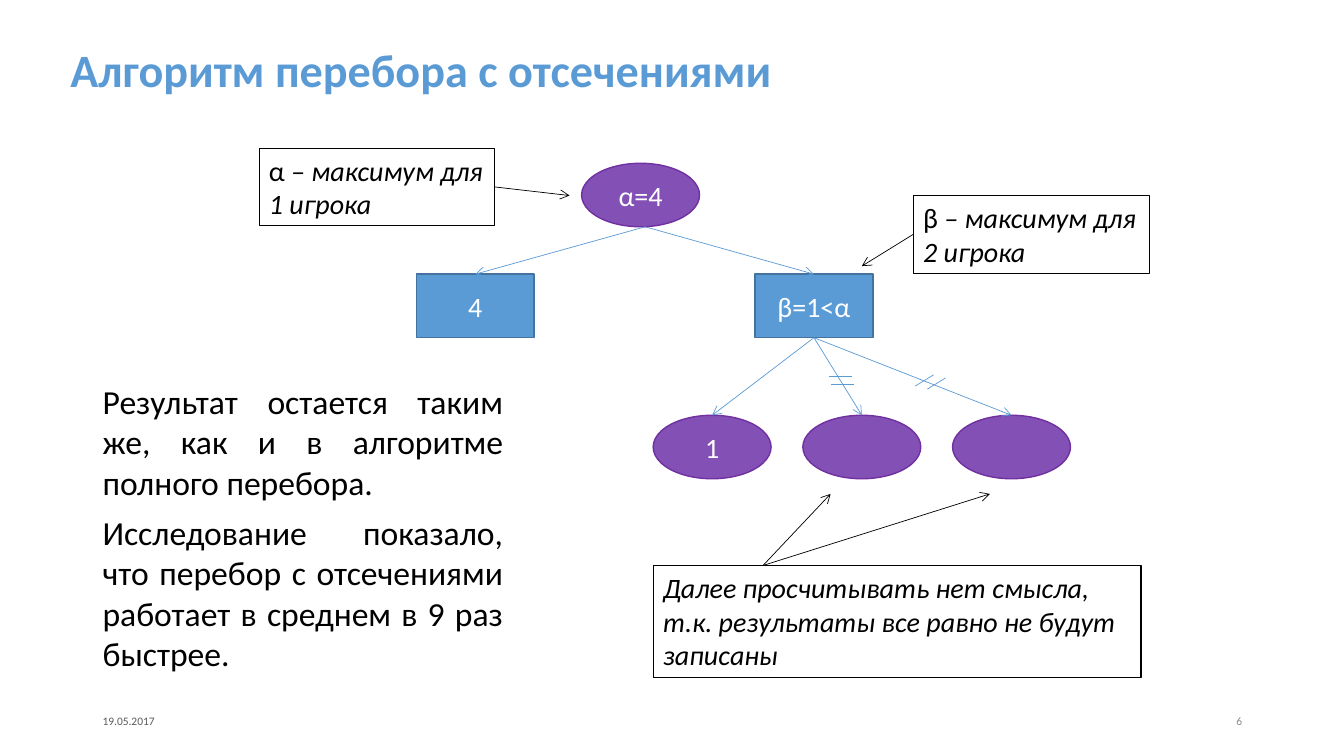
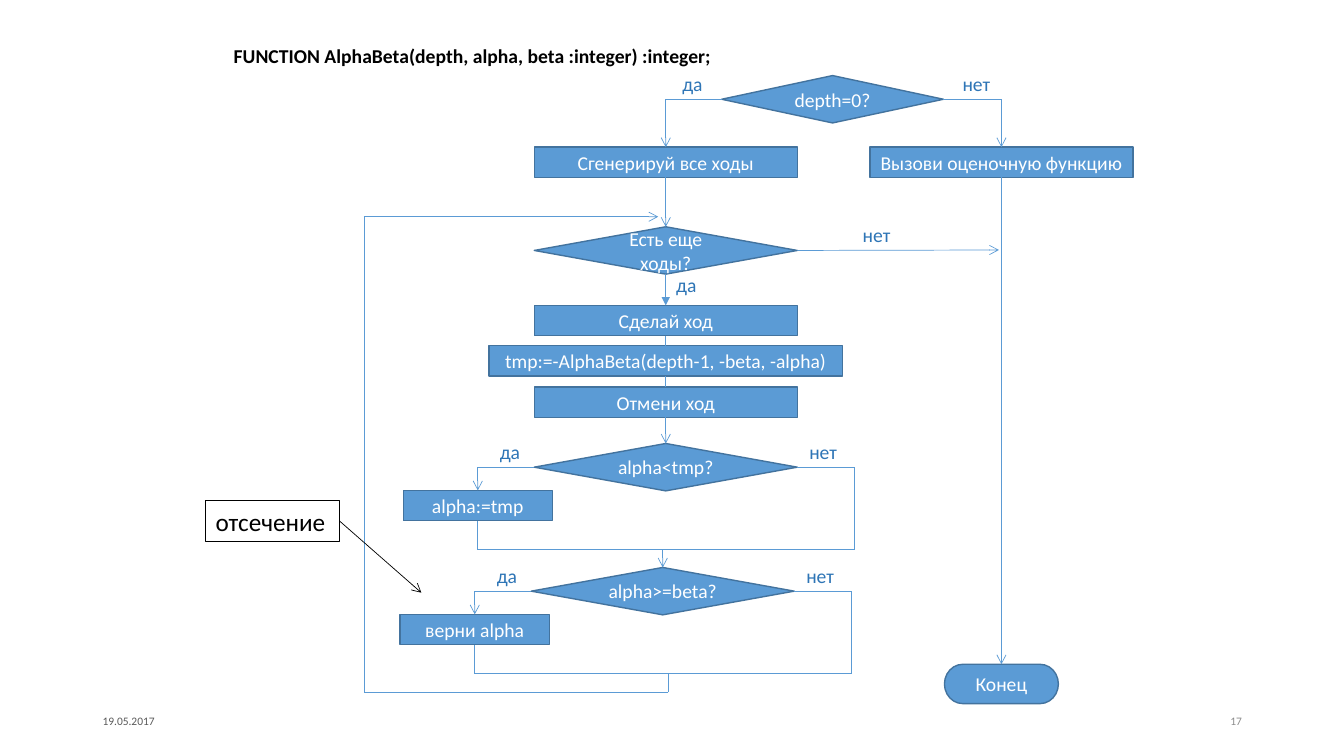
"""Build two slides on alpha-beta pruning: a game tree and a flow chart."""
import itertools

import lxml.etree
import pptx
import pptx.dml.color
import pptx.enum.shapes
import pptx.enum.text
import pptx.oxml.ns
import pptx.util

RGB = pptx.dml.color.RGBColor
KIND = pptx.enum.shapes.MSO_SHAPE
ALIGN = pptx.enum.text.PP_ALIGN
ANCHOR = pptx.enum.text.MSO_ANCHOR

CELL = pptx.util.Inches(0.1)
WIDE, HIGH = 133.33, 75
FONT = "Calibri"
BLACK = RGB(0x00, 0x00, 0x00)
WHITE = RGB(0xFF, 0xFF, 0xFF)
BLUE = RGB(0x5B, 0x9B, 0xD5)
NAVY = RGB(0x43, 0x73, 0x9E)
AZURE = RGB(0x2E, 0x75, 0xB6)
VIOLET = RGB(0x83, 0x50, 0xB6)
PURPLE = RGB(0x70, 0x30, 0xA0)
DARK = RGB(0x59, 0x59, 0x59)
GREY = RGB(0x8C, 0x8C, 0x8C)

TOP, LEFT, BOTTOM, RIGHT = range(4)
NODE = (11.7, 6.3)
NOTE = (23.4, 7.7)
STEP = (26.1, 3)
TEST = (26.1, 4.7)
MID = 66.05


def scale(*cells):
    return [round(cell * CELL) for cell in cells]


def style(para, size, color, align=ALIGN.LEFT, bold=False):
    para.alignment = align
    font = para.font
    font.name, font.size, font.bold = FONT, pptx.util.Pt(size), bold
    font.color.rgb = color


def write(slide, text, area, size, color=BLACK, align=ALIGN.LEFT,
          anchor=ANCHOR.TOP, bold=False, wrap=True):
    box = slide.shapes.add_textbox(*scale(*area))
    frame = box.text_frame
    frame.word_wrap, frame.vertical_anchor = wrap, anchor
    para = frame.paragraphs[0]
    para.text = text
    style(para, size, color, align, bold)
    return box


def note(slide, text, area, size=20, slant=""):
    box = write(slide, text, area, size)
    box.line.color.rgb = BLACK
    box.line.width = pptx.util.Pt(0.75)
    if slant:
        run = box.text_frame.paragraphs[0].add_run()
        run.text = slant
        run.font.italic = True
    return box


def block(slide, kind, text, spot, size, points=14, fill=BLUE, edge=NAVY):
    shape = slide.shapes.add_shape(kind, *scale(*spot, *size))
    shape.shadow.inherit = False
    shape.fill.solid()
    shape.fill.fore_color.rgb = fill
    shape.line.color.rgb = edge
    shape.line.width = pptx.util.Pt(1)
    if text:
        para = shape.text_frame.paragraphs[0]
        para.text = text
        style(para, points, WHITE, ALIGN.CENTER)
    return shape


def oval(slide, text, spot):
    return block(slide, KIND.OVAL, text, spot, NODE, 20, VIOLET, PURPLE)


def label(slide, text, spot):
    size = (4.1, 3.4) if text == "да" else (4.8, 3.4)
    write(slide, text, (*spot, *size), 14, AZURE, wrap=False)


def fixed(end):
    return isinstance(end[0], (int, float))


def place(end):
    if fixed(end):
        return end
    shape, side = end
    across, down = ((0.5, 0), (0, 0.5), (0.5, 1), (1, 0.5))[side]
    return ((shape.left + across * shape.width) / CELL,
            (shape.top + down * shape.height) / CELL)


def link(slide, start, stop, head="", color=BLUE):
    line = slide.shapes.add_connector(
        pptx.enum.shapes.MSO_CONNECTOR.STRAIGHT,
        *scale(*place(start), *place(stop)))
    if not fixed(start):
        line.begin_connect(*start)
    if not fixed(stop):
        line.end_connect(*stop)
    line.line.color.rgb = color
    line.line.width = pptx.util.Pt(0.5)
    qn = pptx.oxml.ns.qn
    if head:
        lxml.etree.SubElement(line.line._get_or_add_ln(), qn("a:tailEnd"), type=head)
    lxml.etree.SubElement(line._element.spPr, qn("a:effectLst"))


def route(slide, *ends, head=""):
    pairs = list(itertools.pairwise(ends))
    for start, stop in pairs[:-1]:
        link(slide, start, stop)
    link(slide, *pairs[-1], head)


def elbow(slide, start, stop, head=""):
    route(slide, start, (place(stop)[0], place(start)[1]), stop, head=head)


def foot(slide, number):
    write(slide, "19.05.2017", (9.2, 69.5, 30, 4), 8.2, DARK, anchor=ANCHOR.MIDDLE)
    write(slide, number, (94.2, 69.5, 30, 4), 8.2, GREY, ALIGN.RIGHT, ANCHOR.MIDDLE)


def tree(slide):
    title = write(slide, "Алгоритм перебора с отсечениями", (6, 1.3, 93.7, 11.8),
                  33, BLUE, anchor=ANCHOR.MIDDLE, bold=True)
    title.text_frame.paragraphs[0].line_spacing = 0.9
    write(slide, "Результат остается таким же, как и в алгоритме полного перебора.",
          (9.2, 37.3, 41.7, 13.1), 24, align=ALIGN.JUSTIFY)
    write(slide, "Исследование показало, что перебор с отсечениями работает "
          "в среднем в 9 раз быстрее.",
          (9.2, 50.3, 41.7, 17.2), 24, align=ALIGN.JUSTIFY)

    oval(slide, "α=4", (57.7, 16.2))
    four = block(slide, KIND.RECTANGLE, "4", (41.3, 27.2), NODE, 20)
    beta = block(slide, KIND.RECTANGLE, "β=1<α", (74.9, 27.2), NODE, 20)
    for child in (four, beta):
        link(slide, (64, 22.5), (child, TOP), "arrow")
    for index, text in enumerate(("1", "", "")):
        leaf = oval(slide, text, (64.8 + 14.85 * index, 41.2))
        link(slide, (beta, BOTTOM), (leaf, TOP), "arrow")
    for left, top, rise, step, drop in ((82.2, 37.3, 0, 0.2, 0.8),
                                        (90.8, 38.3, 1.1, 1.2, 0.3)):
        for index in range(2):
            x, y = left + step * index, top + drop * index
            link(slide, (x, y), (x + (1.8 if rise else 2.3), y - rise))

    first = note(slide, "α", (25.7, 14.7, *NOTE), slant=" – максимум для 1 игрока")
    link(slide, (first, RIGHT), (56.5, 19.4), "arrow", BLACK)
    other = note(slide, "β", (90.6, 19.4, *NOTE), slant=" – максимум для 2 игрока")
    link(slide, (other, LEFT), (85.5, 26.4), "arrow", BLACK)
    note(slide, "", (64.8, 56.1, 48.4, 11.1),
         slant="Далее просчитывать нет смысла, т.к. результаты все равно "
               "не будут записаны")
    for x in (82.4, 98.2):
        link(slide, (75.7, 56.1), (x, 49), "arrow", BLACK)
    foot(slide, "6")


def branch(slide, ask, act, x, y):
    test = block(slide, KIND.FLOWCHART_DECISION, ask, (x, y), TEST)
    task = block(slide, KIND.FLOWCHART_PROCESS, act, (x - 13, y + 4.65), (14.8, 3))
    merge = (x + 31.75, y + 10.55)
    elbow(slide, (test, LEFT), (task, TOP), "arrow")
    elbow(slide, (test, RIGHT), merge)
    elbow(slide, merge, (task, BOTTOM))
    label(slide, "да", (x - 4.4, y - 0.8))
    label(slide, "нет", (x + 26.3, y - 0.85))
    return test, merge[1]


def chart(slide):
    write(slide, "FUNCTION AlphaBeta(depth, alpha, beta :integer) :integer;",
          (22.2, 3.9, 50.1, 3.4), 14, bold=True)
    depth = block(slide, KIND.FLOWCHART_DECISION, "depth=0?", (71.6, 7.5), (22, 4.7))
    rate = block(slide, KIND.FLOWCHART_PROCESS, "Вызови оценочную функцию",
                 (86.3, 14.6), STEP)
    stop = block(slide, KIND.FLOWCHART_TERMINATOR, "Конец", (93.7, 65.9), (11.3, 3.9))
    stack = [
        block(slide, kind, text, (MID - size[0] / 2, y), size)
        for kind, text, y, size in (
            (KIND.FLOWCHART_PROCESS, "Сгенерируй все ходы", 14.6, STEP),
            (KIND.FLOWCHART_DECISION, "Есть еще ходы?", 22.5, TEST),
            (KIND.FLOWCHART_PROCESS, "Сделай ход", 30.3, STEP),
            (KIND.FLOWCHART_PROCESS, "tmp:=-AlphaBeta(depth-1, -beta, -alpha)",
             34.3, (35.1, 3)),
            (KIND.FLOWCHART_PROCESS, "Отмени ход", 38.4, STEP))]
    raise_, raised = branch(slide, "alpha<tmp?", "alpha:=tmp", 53, 44)
    prune, pruned = branch(slide, "alpha>=beta?", "верни alpha", 52.7, 56.3)
    stack.append(raise_)
    heads = ("arrow", "triangle", "", "", "arrow")
    for (upper, lower), head in zip(itertools.pairwise(stack), heads):
        link(slide, (upper, BOTTOM), (lower, TOP), head)

    elbow(slide, (depth, LEFT), (stack[0], TOP), "arrow")
    elbow(slide, (depth, RIGHT), (rate, TOP), "arrow")
    link(slide, (rate, BOTTOM), (stop, TOP), "arrow")
    link(slide, (stack[1], RIGHT), (99.1, 24.8), "arrow")
    link(slide, (place((prune, TOP))[0], raised), (prune, TOP), "arrow")
    route(slide, (66.3, pruned), (66.3, 68.7), (36.1, 68.7), (36.1, 21.5),
          (65.3, 21.5), head="arrow")
    for text, spot in (("да", (66.7, 6.6)), ("нет", (94.5, 6.6)),
                       ("да", (66.1, 26.6)), ("нет", (84.6, 21.6))):
        label(slide, text, spot)

    cut = note(slide, "отсечение", (20.4, 49.7, 13.3, 4), 18)
    link(slide, (cut, RIGHT), (41.8, 58.8), "arrow", BLACK)
    foot(slide, "17")


def main():
    deck = pptx.Presentation()
    deck.slide_width, deck.slide_height = scale(WIDE, HIGH)
    for draw in (tree, chart):
        draw(deck.slides.add_slide(deck.slide_layouts[6]))
    deck.save("out.pptx")


if __name__ == "__main__":
    main()
